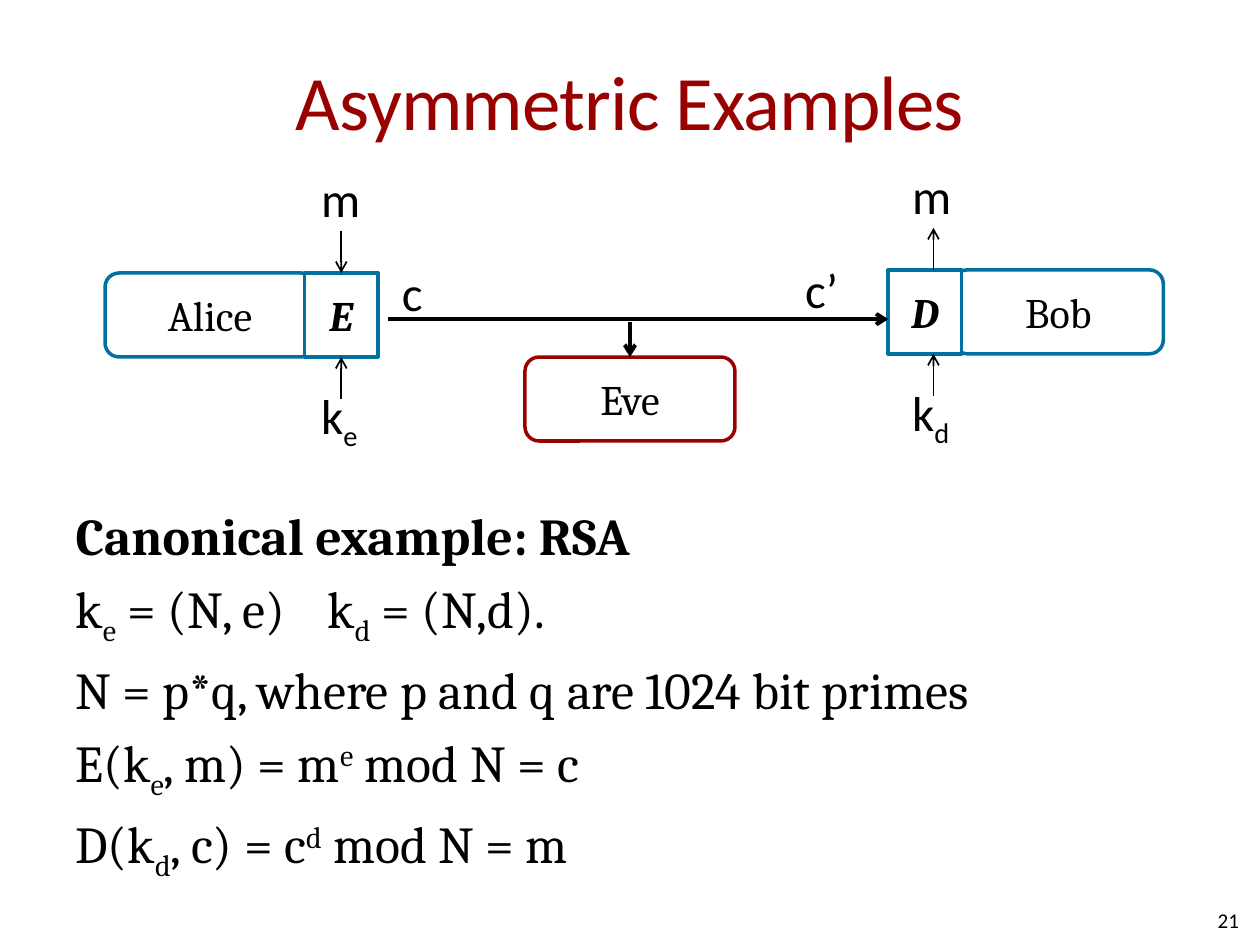
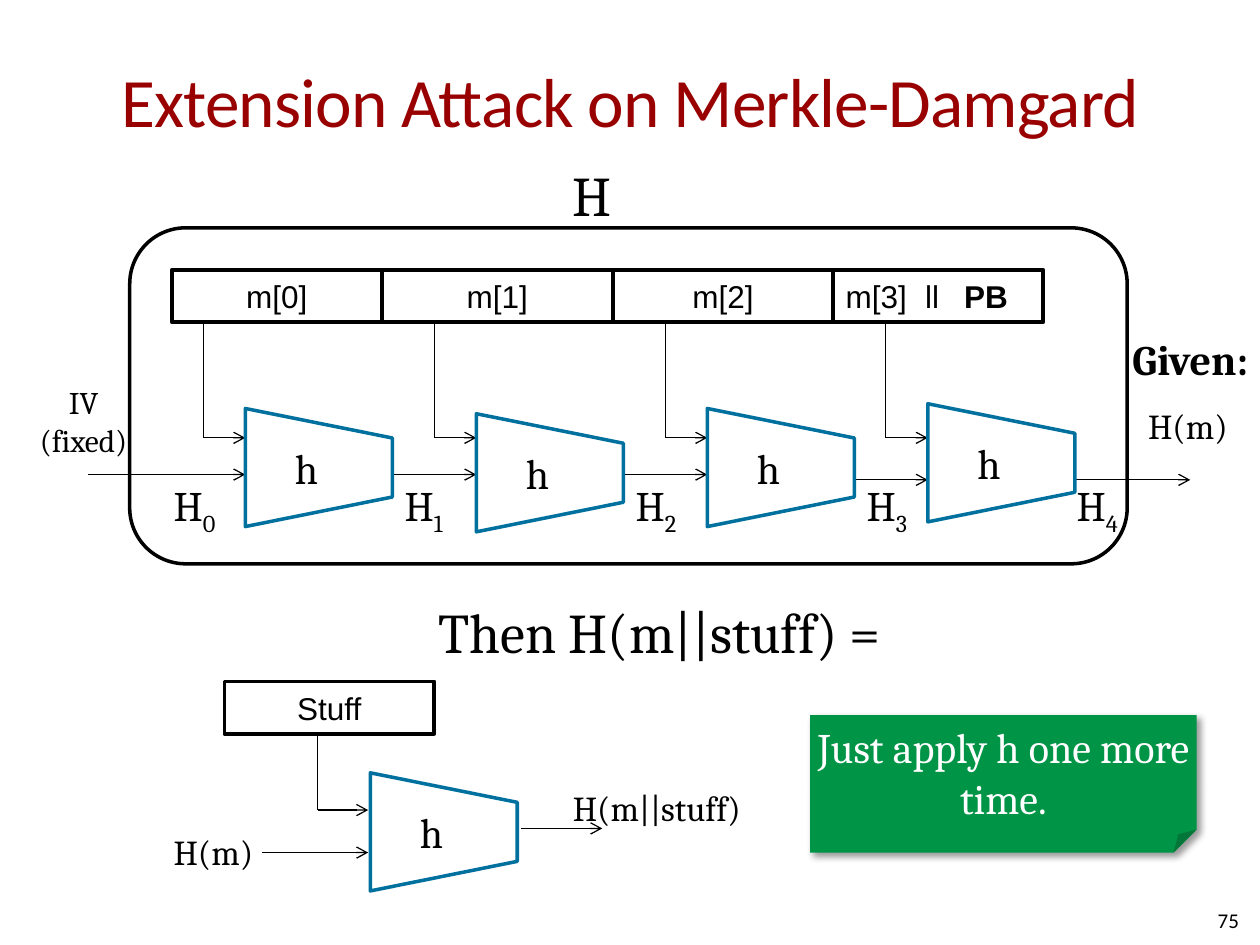
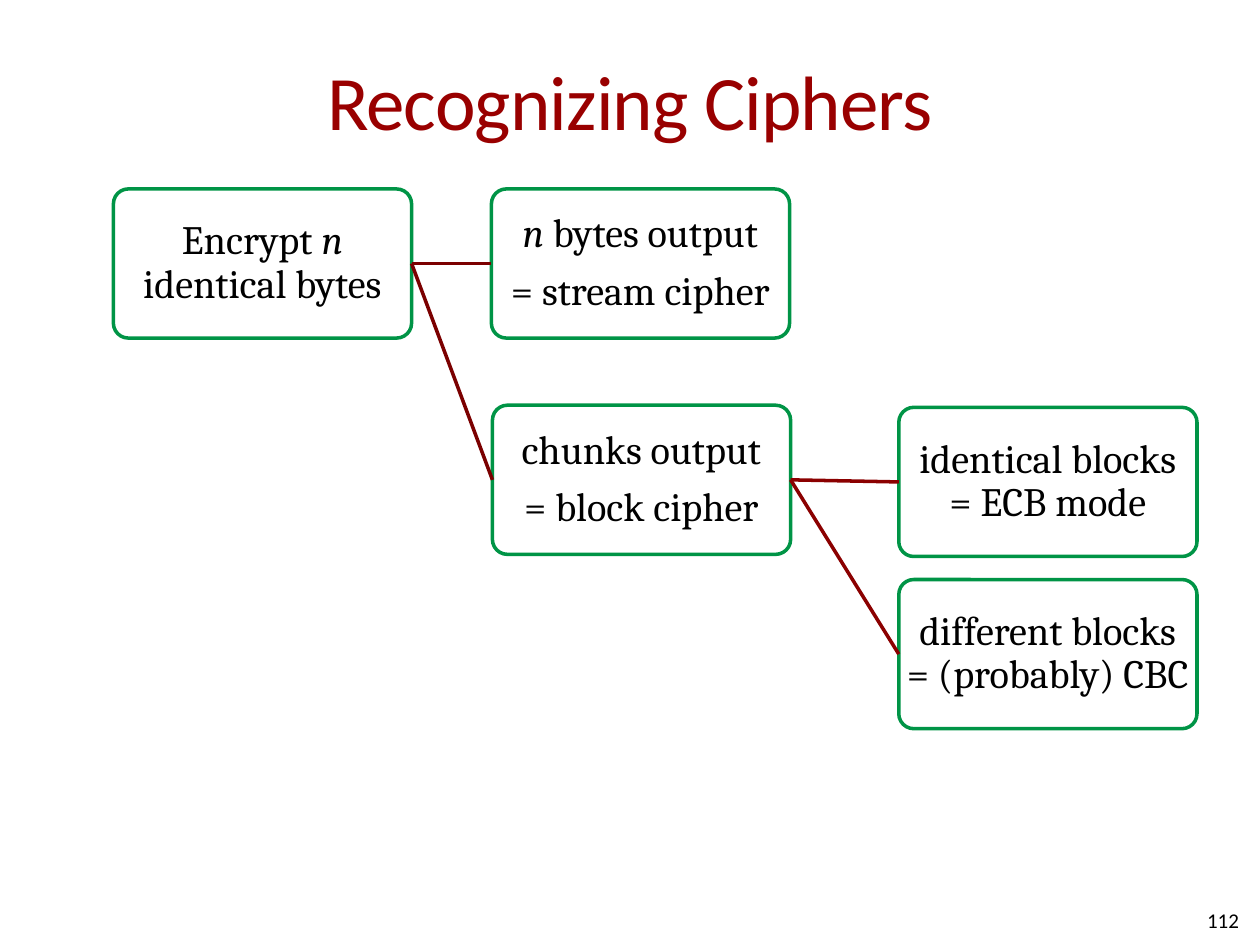
from dataclasses import dataclass
from itertools import accumulate
from typing import Any

from lxml import etree
from pptx import Presentation
from pptx import util as u
from pptx.dml.color import RGBColor
from pptx.enum import shapes, text
from pptx.oxml import ns

RED = RGBColor(0x99, 0x00, 0x00)
BLUE = RGBColor(0x00, 0x70, 0x9E)
GREEN = RGBColor(0x00, 0x94, 0x46)
MAROON = RGBColor(0x7B, 0x00, 0x00)
DARK = RGBColor(0x8B, 0x00, 0x00)
BLACK = RGBColor(0, 0, 0)
WHITE = RGBColor(0xFF, 0xFF, 0xFF)
SANS, SERIF, PLAIN = "Calibri", "Cambria", "Arial"
WIDE, HIGH = u.Inches(10), u.Inches(7.5)
COLS, ROWS = 120, 90
FORM = shapes.MSO_SHAPE
LEFT, MID, RIGHT = text.PP_ALIGN.LEFT, text.PP_ALIGN.CENTER, text.PP_ALIGN.RIGHT
TOP, CORE = text.MSO_ANCHOR.TOP, text.MSO_ANCHOR.MIDDLE


def grid(x, y):
    return round(x * WIDE / COLS), round(y * HIGH / ROWS)


def child(node, tag, **attrs):
    return etree.SubElement(node, ns.qn(tag), attrs)


def sub(word):
    return word, {"base": "-25000"}


def sup(word):
    return word, {"base": "30000"}


def bold(word):
    return word, {"bold": True}


def ital(word):
    return word, {"ital": True}


def write(shape, paras, size=24, font=SERIF, color=BLACK, bold=False, ital=False,
          align=MID, anchor=CORE, inset=(0, 0), wrap=True, before=0, after=0,
          lead=1.0, tabs=(), track=None):
    frame = shape.text_frame
    frame.auto_size = text.MSO_AUTO_SIZE.NONE
    frame.word_wrap = wrap
    frame.vertical_anchor = anchor
    frame.margin_left = frame.margin_right = u.Inches(inset[0])
    frame.margin_top = frame.margin_bottom = u.Inches(inset[1])
    for i, runs in enumerate([paras] if isinstance(paras, str) else paras):
        para = frame.add_paragraph() if i else frame.paragraphs[0]
        para.alignment, para.line_spacing = align, lead
        para.space_before, para.space_after = u.Pt(before), u.Pt(after)
        props = para._p.get_or_add_pPr()
        if shape.is_placeholder:
            props.set("marL", "0")
            props.set("indent", "0")
            child(props, "a:buNone")
        if tabs:
            stops = child(props, "a:tabLst")
            for stop in tabs:
                child(stops, "a:tab", pos=str(u.Inches(stop)), algn="l")
        for part in [runs] if isinstance(runs, str) else runs:
            word, style = (part, {}) if isinstance(part, str) else part
            run = para.add_run()
            run.text = word
            face = run.font
            face.name, face.size, face.color.rgb = font, u.Pt(size), color
            face.bold = style.get("bold", bold)
            face.italic = style.get("ital", ital)
            if "base" in style:
                face._element.set("baseline", style["base"])
            if track:
                face._element.set("spc", str(track))


@dataclass
class Area:
    slide: Any
    x: float
    y: float
    w: float = 0
    h: float = 0

    def spot(self, x, y):
        return grid(self.x + x, self.y + y)

    def block(self, form, x, y, w, h, words="", line=BLUE, fill=WHITE, **style):
        shape = self.slide.shapes.add_shape(form, *self.spot(x, y), *grid(w, h))
        shape.shadow.inherit = False
        shape.fill.solid()
        shape.fill.fore_color.rgb = fill
        if line is None:
            shape.line.fill.background()
        else:
            shape.line.color.rgb = line
            shape.line.width = u.Pt(2)
        if words:
            write(shape, words, **style)
        return shape

    def label(self, words, x, y, w, h, **style):
        shape = self.slide.shapes.add_textbox(*self.spot(x, y), *grid(w, h))
        style = {"align": LEFT, "anchor": TOP, "inset": (0.1, 0.05), "wrap": False} | style
        write(shape, words, **style)

    def link(self, x1=0, y1=0, x2=0, y2=0, color=BLACK, width=0.75, arrow=True,
             start=None, end=None):
        line = self.slide.shapes.add_connector(
            shapes.MSO_CONNECTOR.STRAIGHT, *self.spot(x1, y1), *self.spot(x2, y2))
        line.line.color.rgb = color
        line.line.width = u.Pt(width)
        if arrow:
            child(line.line._get_or_add_ln(), "a:tailEnd", type="arrow")
        child(line._element.spPr, "a:effectLst")
        if start:
            line.begin_connect(*start)
        if end:
            line.end_connect(*end)

    def elbow(self, x, top, low, end):
        self.link(x, top, x, low, arrow=False)
        self.link(x, low, end, low)

    def hash(self, x, y):
        w, h = 14, 11.25
        shape = self.block(FORM.TRAPEZOID, x + (w - h) / 2, y - (w - h) / 2, h, w, "h")
        shape.rotation = 90
        shape.text_frame._txBody.bodyPr.set("vert", "vert270")

    def cell(self, words, x, w, **style):
        style = {"size": 18, "font": PLAIN, "inset": (0.1, 0.05), "wrap": False} | style
        self.block(FORM.RECTANGLE, x, 0, w, 5, words, BLACK, **style)


def place(shape, x, y, w, h):
    shape.left, shape.top = grid(x, y)
    shape.width, shape.height = grid(w, h)


def start(deck, title, page, size=44, body=False):
    slide = deck.slides.add_slide(deck.slide_layouts[1 if body else 5])
    head = slide.shapes.title
    place(head, 6, 2, 108, 15)
    write(head, title, size=size, font=SANS, color=RED, inset=(0, 0.05), track=-50)
    Area(slide, 90, 85.2).label(page, 0, 0, 28, 4.8, size=12, font=SANS, align=RIGHT,
                                anchor=CORE, inset=(0, 0), wrap=True)
    return slide


def party(a, name, nx, code, cx, key, kx, ax, out=False):
    a.block(FORM.ROUNDED_RECTANGLE, nx, 0, 20, a.h, name)
    box = a.block(FORM.RECTANGLE, cx, 0, 7, a.h, code, bold=True, ital=True)
    if out:
        a.link(ax, 0, ax, -4, width=1)
        a.link(ax, 12, ax, a.h, width=1)
    else:
        a.link(ax, -4, ax, 0, width=1, end=(box, 0))
        a.link(ax, 12, ax, a.h, width=1, end=(box, 2))
    a.label("m", kx, -10.5, 6, 6, size=28, font=SANS)
    a.label([["k", sub(key)]], kx, 10.1, 6.2, 6.8, size=28, font=SANS)


def wire(a):
    a.label("c", 1.1, -1.6, 5, 6, size=28, font=SANS)
    a.label("c’", 39.5, -1.9, 5, 6, size=28, font=SANS)
    a.link(1, 4.4, a.w, 4.4, width=2.25)
    eve = a.block(FORM.ROUNDED_RECTANGLE, 14, a.h, 20, 8, "Eve", RED)
    a.link(24, 4.7, 24, a.h, width=2.25, end=(eve, 0))


def rsa(deck):
    slide = start(deck, "Asymmetric Examples", "21", body=True)
    body = slide.placeholders[1]
    place(body, 6, 47.4, 108, 33)
    write(body, [
        [bold("Canonical example: RSA")],
        ["k", sub("e"), " = (N, e)\tk", sub("d"), " = (N,d)."],
        "N = p*q, where p and q are 1024 bit primes",
        ["E(k", sub("e"), ", m) = m", sup("e"), " mod N = c"],
        ["D(k", sub("d"), ", c) = c", sup("d"), " mod N = m"],
    ], size=29.6, align=LEFT, anchor=TOP, inset=(0.1, 0.05), before=6, tabs=[2.5])
    party(Area(slide, 10, 26, 26, 8), "Alice", 0, "E", 19, "e", 19.4, 22.5)
    party(Area(slide, 84.6, 25.7, 26.2, 8), "Bob", 6.2, "D", 0, "d", 1.1, 4.3, out=True)
    wire(Area(slide, 36, 26, 48.6, 8))


def chain(a):
    a.block(FORM.ROUNDED_RECTANGLE, 0, 0, a.w, a.h, line=BLACK)
    row = Area(a.slide, a.x + 4, a.y + 4)
    sizes = [20, 22, 21, 20]
    edges = accumulate(sizes, initial=0)
    names = ["m[0]", "m[1]", "m[2]"]
    for name, x, w in zip(names, edges, sizes):
        row.cell(name, x, w)
    row.cell([["m[3]\tll\t", bold("PB")]], sum(sizes[:3]), sizes[3],
             align=LEFT, wrap=True, tabs=[0.63, 0.94])
    feeds = [7, 29, 51, 72]
    levels = [23.5, 23.5, 23.5, 24, 24]
    starts = [-4] + [x + 16 for x in feeds]
    ends = [x + 4 for x in feeds] + [101]
    for x, end in zip(feeds, ends):
        a.elbow(x, 9, 20, end)
    for x, end, y in zip(starts, ends, levels):
        a.link(x, y, end, y)
    for i, x in enumerate([3, 25, 47, 69, 89]):
        a.label([["H", sub(str(i))]], x, 23.4, 6.7, 6)
    for x, y in zip(ends, [17.2, 17.7, 17.2, 16.75]):
        a.hash(x, y)
    a.label(["IV", "(fixed)"], -10, 14.2, 11.2, 8.5, size=18, align=MID)
    a.label("H(m)", 95.8, 16.2, 10.1, 5.3, size=20)
    a.label("Given:", 95.5, 10.1, 11.8, 4.8, bold=True, inset=(0, 0))
    a.label("H", 42.2, -6.4, 3.7, 6.5, size=32, inset=(0, 0))


def extend(a):
    a.label("Then H(m||stuff) =", 20.4, -8, 43.2, 6.5, size=32, inset=(0, 0))
    a.cell("Stuff", 0, 20)
    a.elbow(8.9, 5, 12.25, 13.7)
    a.label("H(m)", -6, 13.6, 10.1, 5.3, size=20)
    a.link(3.6, 16.3, 13.7, 16.3)
    a.hash(13.9, 8.7)
    a.label("H(m||stuff)", 33.2, 10, 16.3, 4, size=20, inset=(0, 0))
    a.link(28.3, 14, 36, 14)
    note = a.block(FORM.FOLDED_CORNER, 55.8, 3.2, 36.8, 13.1,
                   "Just apply h one more time.", None, GREEN, color=WHITE)
    effect = note._element.spPr.find(ns.qn("a:effectLst"))
    shade = child(effect, "a:outerShdw", blurRad=str(u.Pt(4)), dist=str(u.Pt(3)),
                  dir="2700000", algn="tl", rotWithShape="0")
    child(child(shade, "a:srgbClr", val=str(BLACK)), "a:alpha", val="40000")


def attack(deck):
    slide = start(deck, "Extension Attack on Merkle-Damgard", "75", size=39.6)
    chain(Area(slide, 12.36, 21.7, 95, 32))
    extend(Area(slide, 21.36, 64.9, 93, 22))


def tree(a):
    def node(words, x, y):
        box = a.block(FORM.ROUNDED_RECTANGLE, x, y, 28.4, 14.2, words, GREEN, size=23,
                      inset=(0.02, 0.02), lead=0.9, after=8)
        box.adjustments[0] = 0.1
        return box

    root = node([["Encrypt ", ital("n"), " identical bytes"]], 0, 0)
    stream = node([[ital("n"), " bytes output"], "= stream cipher"], 36, 0)
    chunks = node(["chunks output", "= block cipher"], 36.1, 20.6)
    same = node("identical blocks = ECB mode", 74.8, 20.8)
    mixed = node("different blocks = (probably) CBC", 74.8, 37.2)
    for one, two, color in [(root, stream, MAROON), (root, chunks, MAROON),
                            (chunks, same, DARK), (chunks, mixed, DARK)]:
        a.link(color=color, width=2, arrow=False, start=(one, 3), end=(two, 1))


def main():
    deck = Presentation()
    deck.slide_width, deck.slide_height = WIDE, HIGH
    rsa(deck)
    attack(deck)
    tree(Area(start(deck, "Recognizing Ciphers", "112"), 10.8, 18))
    deck.save("out.pptx")


if __name__ == "__main__":
    main()
